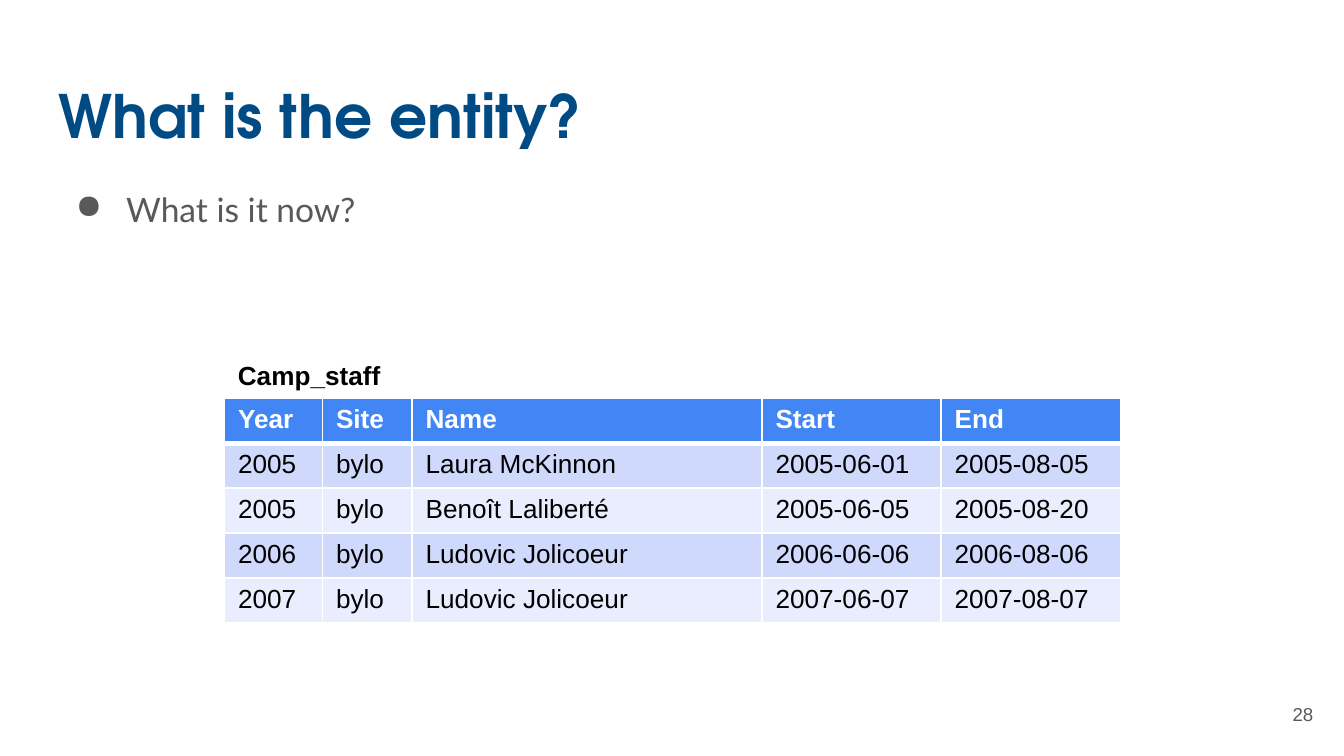
import pptx
import pptx.dml.color
import pptx.enum.text
import pptx.oxml.ns
import pptx.util
from lxml import etree

Pt = pptx.util.Pt
ALIGN = pptx.enum.text.PP_ALIGN
ANCHOR = pptx.enum.text.MSO_ANCHOR

WHITE, BLACK, GREY, NAVY = "FFFFFF", "000000", "595959", "004B83"
HEADER_FILL = "4285F4"
BAND_FILLS = ("CFD9FB", "E9EDFD")
COLUMN_WIDTHS = (52.5, 48, 187.5, 96, 96)
HEADER_HEIGHT, ROW_HEIGHT = 24, 23
CAMP_STAFF = (
    ("Year", "Site", "Name", "Start", "End"),
    ("2005", "bylo", "Laura McKinnon", "2005-06-01", "2005-08-05"),
    ("2005", "bylo", "Benoît Laliberté", "2005-06-05", "2005-08-20"),
    ("2006", "bylo", "Ludovic Jolicoeur", "2006-06-06", "2006-08-06"),
    ("2007", "bylo", "Ludovic Jolicoeur", "2007-06-07", "2007-08-07"),
)


def rgb(color):
    """Turn a hex string into a colour."""
    return pptx.dml.color.RGBColor.from_string(color)


def add_element(parent, tag, **attributes):
    """Append a DrawingML element and return it."""
    child = etree.SubElement(parent, pptx.oxml.ns.qn(tag))
    for name, value in attributes.items():
        child.set(name, str(value))
    return child


def write_text(tf, text, size=14, font="Arial", color=BLACK, bold=False,
               align=ALIGN.LEFT):
    """Write one formatted paragraph into a text frame and return it."""
    p = tf.paragraphs[0]
    p.alignment = align
    r = p.add_run()
    r.text = text
    r.font.size = Pt(size)
    r.font.name = font
    r.font.bold = bold
    r.font.color.rgb = rgb(color)
    return p


def add_text(slide, box, text, inset=7.2, anchor=ANCHOR.TOP, **text_format):
    """Add a wrapping text box and return its paragraph."""
    tf = slide.shapes.add_textbox(*map(Pt, box)).text_frame
    tf.word_wrap = True
    tf.vertical_anchor = anchor
    tf.margin_left = tf.margin_right = Pt(7.2)
    tf.margin_top = tf.margin_bottom = Pt(inset)
    return write_text(tf, text, **text_format)


def set_bullet(p, char, color, left, hanging):
    """Give a paragraph a coloured bullet and a hanging indent."""
    pPr = p._p.get_or_add_pPr()
    pPr.set("marL", str(Pt(left)))
    pPr.set("indent", str(-Pt(hanging)))
    add_element(add_element(pPr, "a:buClr"), "a:srgbClr", val=color)
    add_element(pPr, "a:buChar", char=char)


def set_borders(cell, color, **widths):
    """Draw the cell borders, with a width for each side."""
    tcPr = cell._tc.get_or_add_tcPr()
    for side, width in widths.items():
        line = add_element(tcPr, "a:ln" + side, w=Pt(width))
        add_element(add_element(line, "a:solidFill"), "a:srgbClr", val=color)


def add_table(slide, left, top, rows):
    """Add a table with a header row and banded body rows."""
    heights = [HEADER_HEIGHT] + [ROW_HEIGHT] * (len(rows) - 1)
    table = slide.shapes.add_table(
        len(rows), len(COLUMN_WIDTHS), Pt(left), Pt(top),
        Pt(sum(COLUMN_WIDTHS)), Pt(sum(heights))).table
    for column, width in zip(table.columns, COLUMN_WIDTHS):
        column.width = Pt(width)
    for i, values in enumerate(rows):
        header = i == 0
        table.rows[i].height = Pt(heights[i])
        for j, value in enumerate(values):
            cell = table.cell(i, j)
            set_borders(cell, WHITE, L=1, R=1, T=3 if i == 1 else 1,
                        B=3 if header else 1)
            cell.fill.solid()
            cell.fill.fore_color.rgb = rgb(
                HEADER_FILL if header else BAND_FILLS[(i - 1) % 2])
            cell.margin_top = cell.margin_bottom = Pt(3.6)
            write_text(cell.text_frame, value, bold=header,
                       color=WHITE if header else BLACK)


def main():
    """Build the slide and save it."""
    prs = pptx.Presentation()
    prs.slide_width, prs.slide_height = Pt(720), Pt(405)
    slide = prs.slides.add_slide(prs.slide_layouts[6])
    add_text(slide, (24.5, 35.3, 671, 45.4), "What is the entity?", size=32,
             font="TeX Gyre Adventor", color=NAVY, bold=True)
    p = add_text(slide, (24.5, 90.7, 671, 269.3), "What is it now?", size=18,
                 font="Lato", color=GREY)
    p.line_spacing = 1.15
    set_bullet(p, "●", GREY, left=36, hanging=27)
    add_text(slide, (667.4, 367.2, 43.2, 31), "28", size=10, color=GREY,
             anchor=ANCHOR.MIDDLE, align=ALIGN.RIGHT)
    add_table(slide, 120.3, 213.4, CAMP_STAFF)
    add_text(slide, (120.3, 188.8, 120, 24.2), "Camp_staff", inset=3.6,
             bold=True)
    prs.save("out.pptx")


if __name__ == "__main__":
    main()
